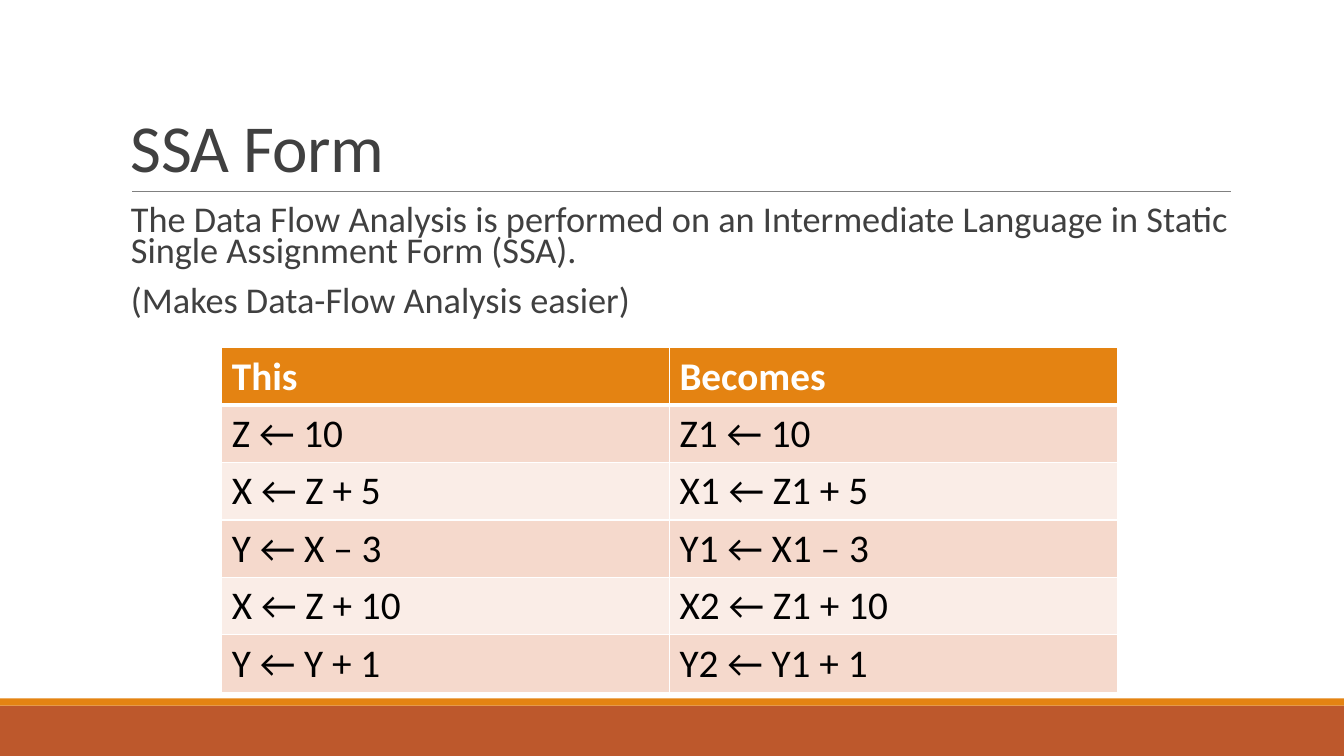
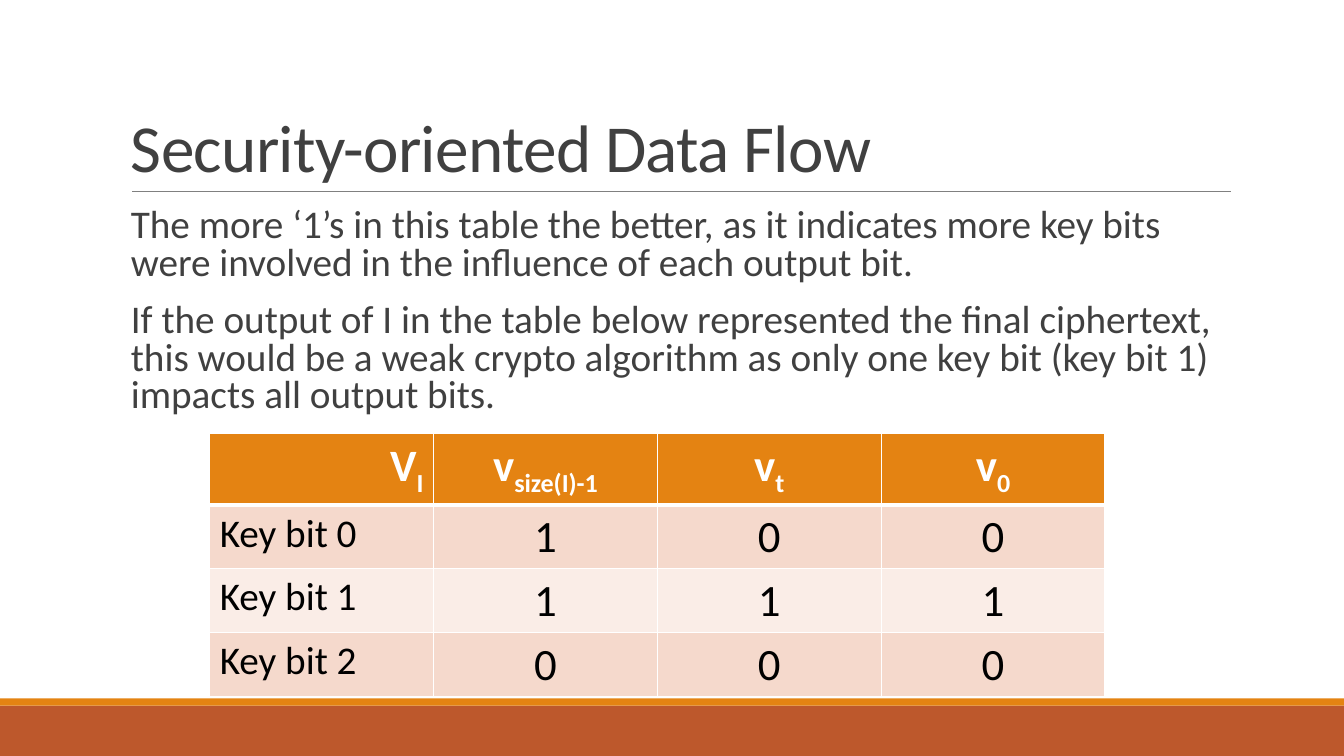
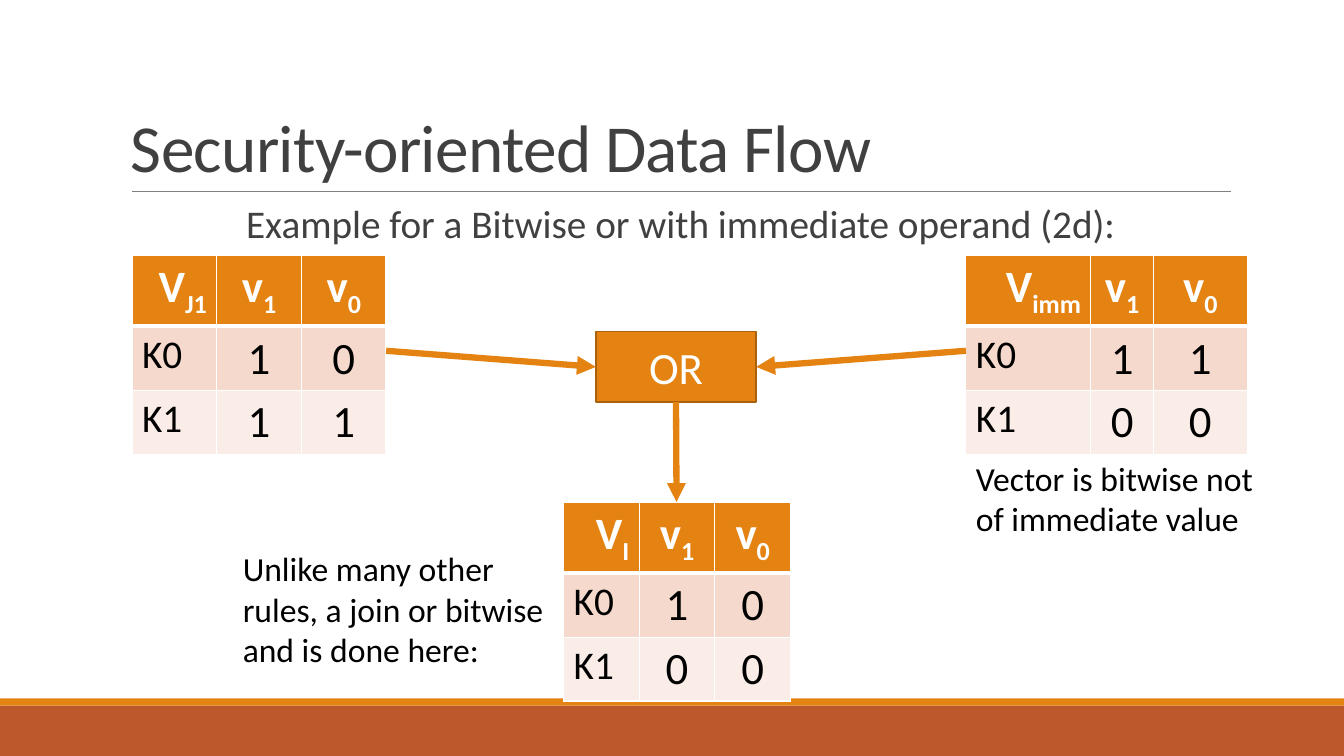
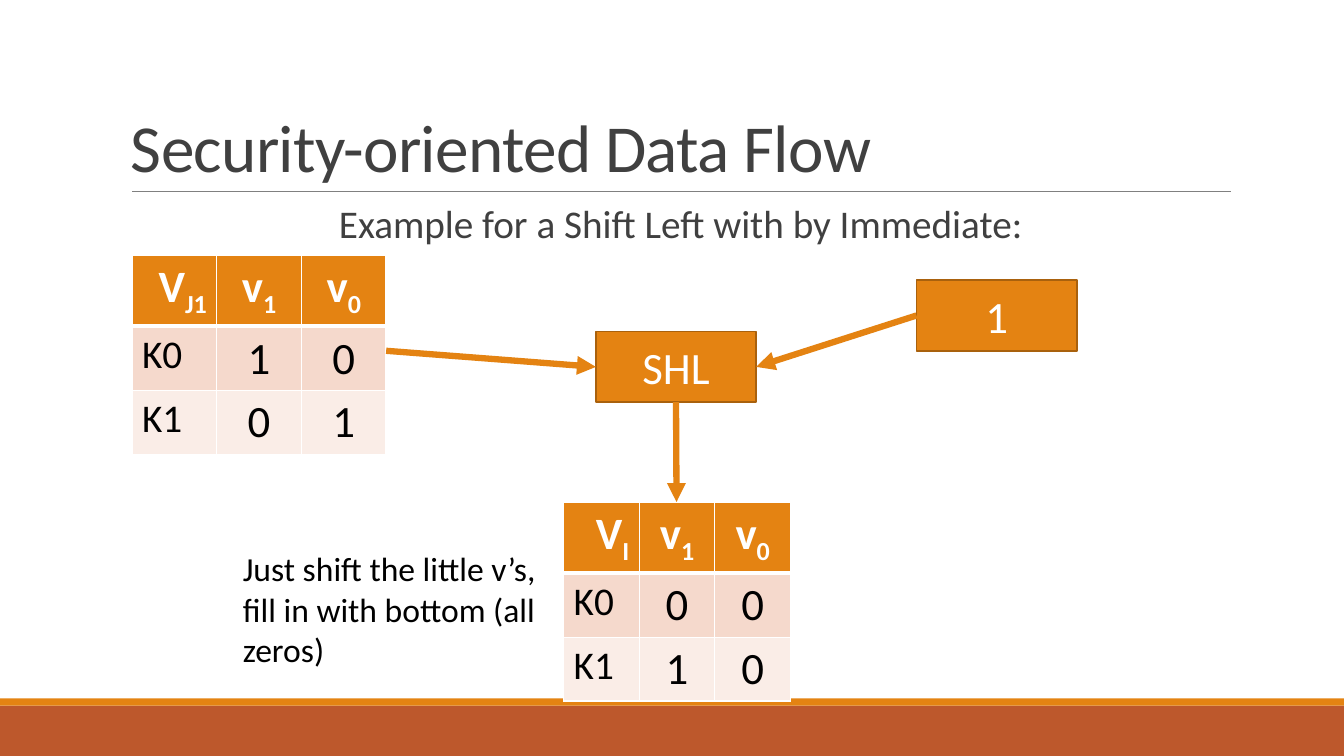
import pptx
import pptx.dml.color
import pptx.enum.shapes
import pptx.enum.text
import pptx.oxml
import pptx.oxml.ns
import pptx.util

Inches = pptx.util.Inches
Pt = pptx.util.Pt
ALIGN = pptx.enum.text.PP_ALIGN
ANCHOR = pptx.enum.text.MSO_ANCHOR
RECTANGLE = pptx.enum.shapes.MSO_SHAPE.RECTANGLE
STRAIGHT = pptx.enum.shapes.MSO_CONNECTOR.STRAIGHT

FONT = "Calibri"
ORANGE, RUST, DARK_ORANGE = "E48312", "BD582C", "A9610D"
WHITE, BLACK, INK, RULE_GREY = "FFFFFF", "000000", "404040", "808080"
ROW_TINTS = ["F5D9CC", "FAEDE7"]
SLIDE_WIDTH, SLIDE_HEIGHT = 13.33, 7.5
TEXT_LEFT, TEXT_WIDTH = 1.2, 11
TOP, LEFT, BOTTOM, RIGHT = range(4)


def color(hex_value):
    return pptx.dml.color.RGBColor.from_string(hex_value)


def fill(target, hex_value):
    target.fill.solid()
    target.fill.fore_color.rgb = color(hex_value)


def add_span(para, text, size, hex_value, bold=False):
    span = para.add_run()
    span.text = text
    span.font.name = FONT
    span.font.size = Pt(size)
    span.font.bold = bold
    span.font.color.rgb = color(hex_value)
    return span


def add_text(page, left, top, width, height, texts, size, hex_value,
             align=ALIGN.LEFT, anchor=ANCHOR.TOP, spacing=1, before=0, after=0):
    """Add a text box with one paragraph per text and return its spans."""
    box = page.shapes.add_textbox(
        Inches(left), Inches(top), Inches(width), Inches(height))
    frame = box.text_frame
    frame.word_wrap = True
    frame.vertical_anchor = anchor
    spans = []
    for index, text in enumerate(texts):
        para = frame.add_paragraph() if index else frame.paragraphs[0]
        para.alignment = align
        para.line_spacing = spacing
        para.space_before = Pt(before)
        para.space_after = Pt(after)
        spans.append(add_span(para, text, size, hex_value))
    return spans


def add_body(page, height, texts, size=28, spacing=0.8, align=ALIGN.LEFT):
    # The left inset stays while the right one is zero.
    add_text(page, TEXT_LEFT, 2.02, TEXT_WIDTH + 0.1, height, texts, size, INK,
             align, spacing=spacing, before=12, after=2)


def add_note(page, left, top, width, height, *texts):
    add_text(page, left, top, width, height, texts, 24, BLACK)


def add_rectangle(page, left, top, width, height, hex_value):
    box = page.shapes.add_shape(
        RECTANGLE, Inches(left), Inches(top), Inches(width), Inches(height))
    box.shadow.inherit = False
    fill(box, hex_value)
    box.line.fill.background()
    return box


def add_operation(page, left, top, label):
    box = add_rectangle(page, left, top, 1.59, 0.7, ORANGE)
    box.line.color.rgb = color(DARK_ORANGE)
    box.line.width = Pt(1.25)
    box.text_frame.vertical_anchor = ANCHOR.MIDDLE
    para = box.text_frame.paragraphs[0]
    para.alignment = ALIGN.CENTER
    add_span(para, label, 32, WHITE)
    return box


def add_line(page, start, end, hex_value, width):
    line = page.shapes.add_connector(
        STRAIGHT, *(Inches(value) for value in (*start, *end)))
    line.line.color.rgb = color(hex_value)
    line.line.width = Pt(width)
    pptx.oxml.ns.qn("a:effectLst")
    line._element.spPr.append(pptx.oxml.parse_xml(
        f'<a:effectLst {pptx.oxml.ns.nsdecls("a")}/>'))
    return line


def add_arrow(page, start, end):
    arrow = add_line(page, start, end, ORANGE, 4.5)
    arrow.line._get_or_add_ln().append(pptx.oxml.parse_xml(
        f'<a:tailEnd {pptx.oxml.ns.nsdecls("a")} type="triangle"/>'))
    return arrow


def set_borders(cell, bottom_width):
    properties = cell._tc.get_or_add_tcPr()
    for side, width in (("L", 1), ("R", 1), ("T", 1), ("B", bottom_width)):
        properties.append(pptx.oxml.parse_xml(
            f'<a:ln{side} {pptx.oxml.ns.nsdecls("a")} w="{Pt(width)}">'
            f'<a:solidFill><a:srgbClr val="{WHITE}"/></a:solidFill>'
            f'</a:ln{side}>'))


def fill_cell(cell, text, size, align, is_header):
    """Write a cell; what follows an underscore becomes a subscript."""
    para = cell.text_frame.paragraphs[0]
    para.alignment = align
    ink = WHITE if is_header else BLACK
    base, _, subscript = text.partition("_")
    add_span(para, base, size, ink, is_header)
    if subscript:
        span = add_span(para, subscript, size, ink, is_header)
        span._r.get_or_add_rPr().set("baseline", "-25000")


def add_table(page, left, top, widths, row_height, rows, is_vector=True):
    """Add a table; a vector table has row labels and centred values."""
    table = page.shapes.add_table(
        len(rows), len(widths), Inches(left), Inches(top),
        Inches(sum(widths)), Inches(row_height * len(rows))).table
    for column, width in zip(table.columns, widths):
        column.width = Inches(width)
    for row_index, texts in enumerate(rows):
        is_header = row_index == 0
        for column_index, text in enumerate(texts):
            cell = table.cell(row_index, column_index)
            size, align = 28, ALIGN.LEFT
            if is_vector and column_index:
                size, align = 32, ALIGN.CENTER
            elif is_vector and is_header:
                size, align = 32, ALIGN.RIGHT
            set_borders(cell, 3 if is_header else 1)
            fill(cell, ORANGE if is_header else ROW_TINTS[(row_index - 1) % 2])
            fill_cell(cell, text, size, align, is_header)


def add_bit_table(page, left, top, widths, name, *bits):
    """Add a two-bit vector table; bits holds one string per key bit."""
    rows = [[f"V_{name}", "v_1", "v_0"]]
    rows += [[f"K{index}", *values] for index, values in enumerate(bits)]
    add_table(page, left, top, widths, 0.63, rows)


def add_page(deck, title):
    page = deck.slides.add_slide(deck.slide_layouts[6])
    add_rectangle(page, 0, 7, SLIDE_WIDTH, 0.5, RUST)
    add_rectangle(page, 0, 6.93, SLIDE_WIDTH, 0.07, ORANGE)
    add_line(page, (1.31, 1.9), (12.21, 1.9), RULE_GREY, 0.5)
    spans = add_text(page, TEXT_LEFT, 0.31, TEXT_WIDTH, 1.59, [title], 48, INK,
                     anchor=ANCHOR.BOTTOM, spacing=0.85)
    spans[0]._r.get_or_add_rPr().set("spc", "-50")
    return page


def add_flow_page(deck, heading, operation, source_bits, result_bits):
    """Add a page where a vector and an operand lead to a result vector."""
    page = add_page(deck, "Security-oriented Data Flow")
    add_body(page, 0.5, [heading], align=ALIGN.CENTER)
    add_bit_table(page, 1.31, 2.53, [0.84] * 3, "J1", *source_bits)
    box = add_operation(page, 5.91, 3.29, operation)
    add_arrow(page, (3.83, 3.48), (5.91, 3.64)).end_connect(box, LEFT)
    add_bit_table(page, 5.59, 4.98, [0.75] * 3, "I", *result_bits)
    add_arrow(page, (6.71, 3.99), (6.71, 4.98)).begin_connect(box, BOTTOM)
    return page, box


def add_ssa_page(deck):
    page = add_page(deck, "SSA Form")
    add_body(page, 1.31, [
        "The Data Flow Analysis is performed on an Intermediate Language in "
        "Static Single Assignment Form (SSA).",
        "(Makes Data-Flow Analysis easier)"], 25.9, 0.7)
    add_table(page, 2.2, 3.45, [4.44] * 2, 0.57, [
        ["This", "Becomes"],
        ["Z ← 10", "Z1 ← 10"],
        ["X ← Z + 5", "X1 ← Z1 + 5"],
        ["Y ← X – 3", "Y1 ← X1 – 3"],
        ["X ← Z + 10", "X2 ← Z1 + 10"],
        ["Y ← Y + 1", "Y2 ← Y1 + 1"]], is_vector=False)


def add_key_bits_page(deck):
    page = add_page(deck, "Security-oriented Data Flow")
    add_body(page, 2.35, [
        "The more ‘1’s in this table the better, as it indicates more key "
        "bits were involved in the influence of each output bit.",
        "If the output of I in the table below represented the final "
        "ciphertext, this would be a weak crypto algorithm as only one key "
        "bit (key bit 1) impacts all output bits."])
    add_table(page, 2.08, 4.3, [2.22] * 4, 0.63, [
        ["V_I", "v_size(I)-1", "v_t", "v_0"],
        ["Key bit 0", *"100"],
        ["Key bit 1", *"111"],
        ["Key bit 2", *"000"]])


def add_or_page(deck):
    page, box = add_flow_page(
        deck, "Example for a Bitwise or with immediate operand (2d):",
        "OR", ("10", "11"), ("10", "00"))
    add_bit_table(page, 9.58, 2.53, [1.24, 0.62, 0.93], "imm", "11", "00")
    add_arrow(page, (9.58, 3.48), (7.5, 3.64)).end_connect(box, RIGHT)
    add_note(page, 9.58, 4.49, 3.1, 0.91,
             "Vector is bitwise not of immediate value")
    add_note(page, 2.31, 5.39, 3.34, 1.31,
             "Unlike many other rules, a join or bitwise and is done here:")


def add_shift_page(deck):
    page, box = add_flow_page(
        deck, "Example for a Shift Left with by Immediate:",
        "SHL", ("10", "01"), ("00", "10"))
    operand = add_operation(page, 9.09, 2.78, "1")
    arrow = add_arrow(page, (9.09, 3.13), (7.5, 3.64))
    arrow.begin_connect(operand, LEFT)
    arrow.end_connect(box, RIGHT)
    add_note(page, 2.31, 5.39, 3.34, 1.31,
             "Just shift the little v’s,", "fill in with bottom (all zeros)")


def main():
    deck = pptx.Presentation()
    deck.slide_width = Inches(SLIDE_WIDTH)
    deck.slide_height = Inches(SLIDE_HEIGHT)
    add_ssa_page(deck)
    add_key_bits_page(deck)
    add_or_page(deck)
    add_shift_page(deck)
    deck.save("out.pptx")


if __name__ == "__main__":
    main()
